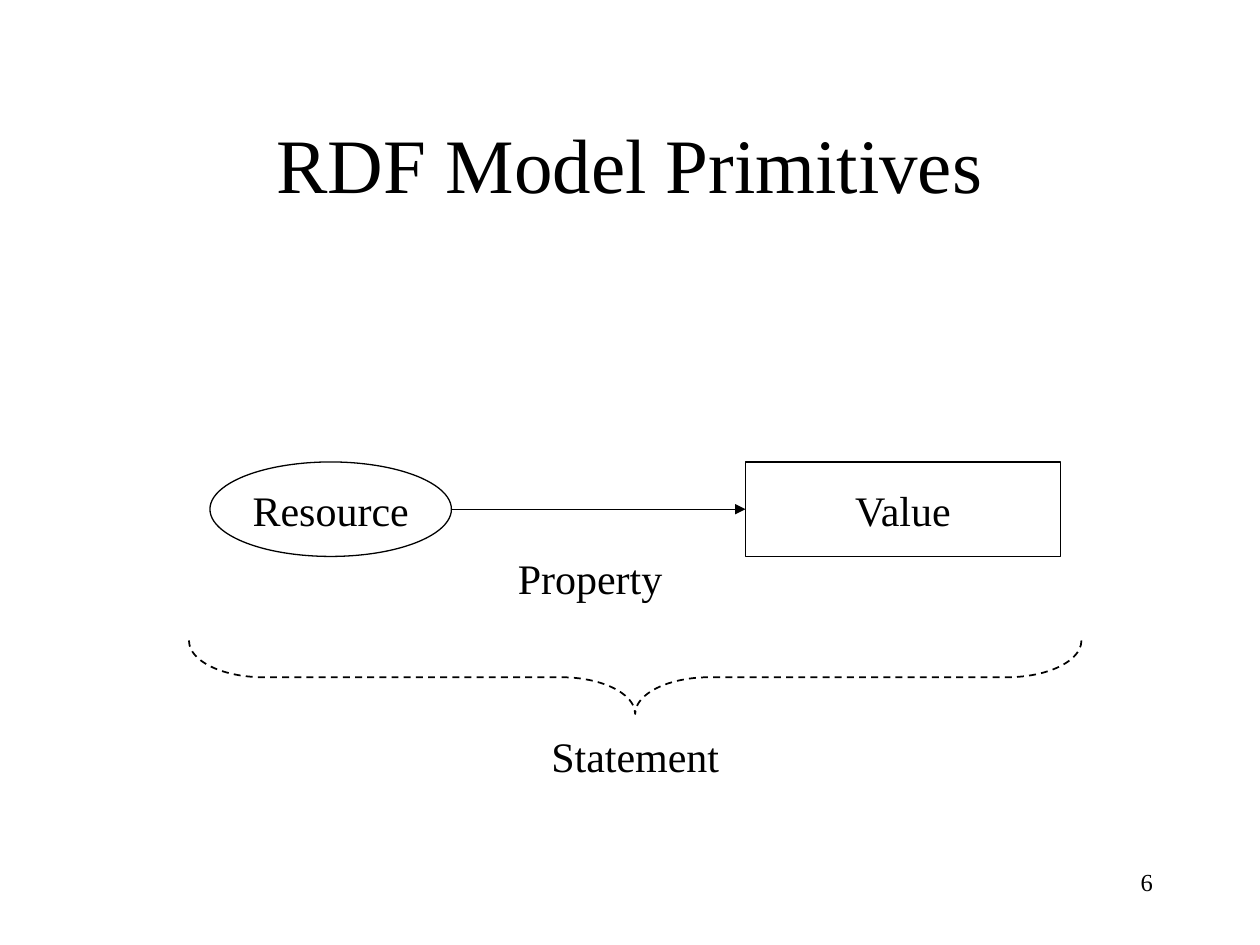
from dataclasses import dataclass

from lxml.etree import SubElement
from pptx import Presentation
from pptx.dml.color import RGBColor
from pptx.enum.dml import MSO_LINE
from pptx.enum.shapes import MSO_CONNECTOR, MSO_SHAPE
from pptx.enum.text import MSO_ANCHOR as Anchor, MSO_AUTO_SIZE as AutoSize, PP_ALIGN as Align
from pptx.oxml.ns import qn
from pptx.shapes.autoshape import Shape
from pptx.slide import Slide
from pptx.util import Inches, Length, Pt


@dataclass(frozen=True)
class Theme:
    ink: RGBColor = RGBColor(0, 0, 0)
    font: str = "Times New Roman"
    title_size: int = 44
    label_size: int = 24
    number_size: int = 14
    line_width: float = 0.75
    brace_width: float = 1


@dataclass(frozen=True)
class Box:
    column: float
    row: float
    columns: float
    rows: float

    @property
    def lengths(self) -> tuple[Length, ...]:
        return tuple(grid(cells) for cells in (self.column, self.row, self.columns, self.rows))

    @property
    def middle(self) -> float:
        return self.row + self.rows / 2


@dataclass(frozen=True)
class Label:
    text: str
    center: float
    middle: float
    columns: float

    @property
    def box(self) -> Box:
        rows = 6
        return Box(self.center - self.columns / 2, self.middle - rows / 2, self.columns, rows)


THEME = Theme()
GRID_COLUMNS, GRID_ROWS = 120, 90
CELLS_PER_INCH = 12

TITLE = Box(9, 8, 102, 15)
RESOURCE = Box(20, 44, 23, 9)
VALUE = Box(71, 44, 30, 9)
BRACE = Box(57, 22, 7, 85)
PAGE_NUMBER = Box(86, 82, 25, 6)

LABELS = (
    Label("Resource", 31.5, 48.5, 17.3),
    Label("Value", 86, 48.5, 11.9),
    Label("Property", 56.2, 55, 16.2),
    Label("Statement", 60.5, 72, 18.4),
)


def grid(cells: float) -> Length:
    return Inches(cells / CELLS_PER_INCH)


def add_text(slide: Slide, text: str, box: Box, size: int, align: Align = Align.CENTER,
             anchor: Anchor = Anchor.MIDDLE, wrap: bool = True) -> None:
    frame = slide.shapes.add_textbox(*box.lengths).text_frame
    frame.word_wrap = wrap
    frame.auto_size = AutoSize.NONE if wrap else AutoSize.SHAPE_TO_FIT_TEXT
    frame.vertical_anchor = anchor
    paragraph = frame.paragraphs[0]
    paragraph.alignment = align
    run = paragraph.add_run()
    run.text = text
    run.font.name = THEME.font
    run.font.size = Pt(size)
    run.font.color.rgb = THEME.ink


def add_outline(slide: Slide, kind: MSO_SHAPE, box: Box, width: float) -> Shape:
    shape = slide.shapes.add_shape(kind, *box.lengths)
    shape.shadow.inherit = False
    shape.fill.background()
    shape.line.color.rgb = THEME.ink
    shape.line.width = Pt(width)
    return shape


def add_arrow(slide: Slide, start: Box, end: Box) -> None:
    arrow = slide.shapes.add_connector(
        MSO_CONNECTOR.STRAIGHT,
        grid(start.column + start.columns), grid(start.middle),
        grid(end.column), grid(end.middle),
    )
    arrow.line.color.rgb = THEME.ink
    arrow.line.width = Pt(THEME.line_width)
    properties = arrow.element.spPr
    SubElement(properties.find(qn("a:ln")), qn("a:tailEnd"), type="triangle", w="med", len="med")
    SubElement(properties, qn("a:effectLst"))


def add_brace(slide: Slide, box: Box) -> None:
    brace = add_outline(slide, MSO_SHAPE.LEFT_BRACE, box, THEME.brace_width)
    brace.adjustments[0] = 1.01
    brace.rotation = 270
    brace.line.dash_style = MSO_LINE.DASH


def main() -> None:
    presentation = Presentation()
    presentation.slide_width = grid(GRID_COLUMNS)
    presentation.slide_height = grid(GRID_ROWS)
    slide = presentation.slides.add_slide(presentation.slide_layouts[6])

    add_text(slide, "RDF Model Primitives", TITLE, THEME.title_size)
    add_outline(slide, MSO_SHAPE.OVAL, RESOURCE, THEME.line_width)
    add_outline(slide, MSO_SHAPE.RECTANGLE, VALUE, THEME.line_width)
    add_arrow(slide, RESOURCE, VALUE)
    add_brace(slide, BRACE)
    for label in LABELS:
        add_text(slide, label.text, label.box, THEME.label_size, wrap=False)
    add_text(slide, "6", PAGE_NUMBER, THEME.number_size, Align.RIGHT, Anchor.TOP)

    presentation.save("out.pptx")


if __name__ == "__main__":
    main()
